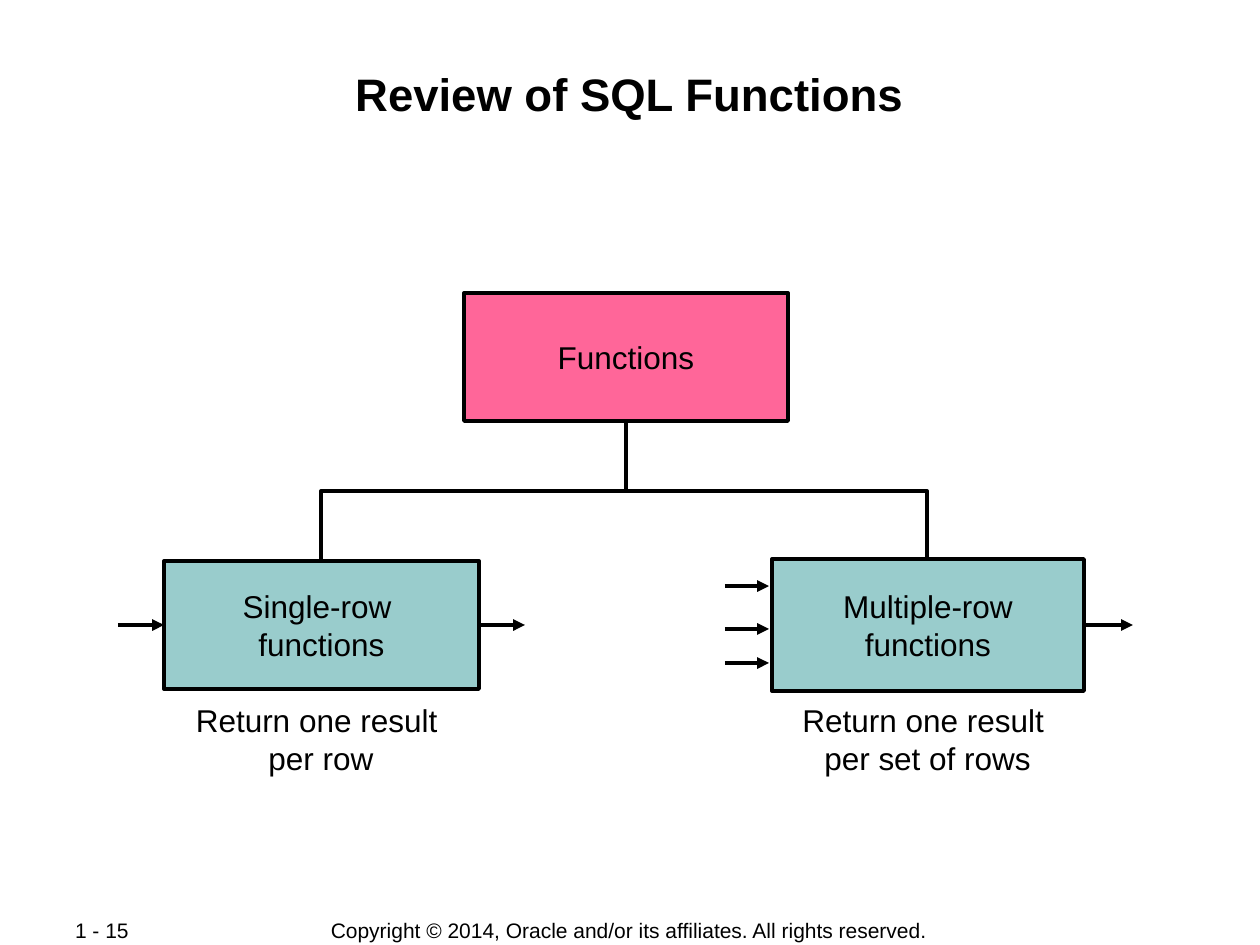
from lxml import etree
from pptx import Presentation
from pptx import util as u
from pptx.dml.color import RGBColor
from pptx.enum import shapes, text
from pptx.oxml.ns import qn

PX = 914400 / 126
COLORS = {"ink": "000000", "root": "FF6699", "branch": "99CCCC"}
LINE_WIDTH = u.Pt(2.25)


def emu(*pixels):
    return [u.Emu(round(value * PX)) for value in pixels]


def add_text(shape, content, size=18, bold=False,
             align=text.PP_ALIGN.CENTER, anchor=text.MSO_ANCHOR.MIDDLE):
    frame = shape.text_frame
    frame.word_wrap = True
    frame.vertical_anchor = anchor
    frame.margin_left = frame.margin_right = 0
    frame.margin_top = frame.margin_bottom = 0
    frame.text = content
    for paragraph in frame.paragraphs:
        paragraph.alignment = align
        paragraph.font.name = "Arial"
        paragraph.font.size = u.Pt(size)
        paragraph.font.bold = bold
        paragraph.font.color.rgb = RGBColor.from_string(COLORS["ink"])


presentation = Presentation()
presentation.slide_width, presentation.slide_height = emu(1260, 945)
slide = presentation.slides.add_slide(presentation.slide_layouts[6])
ink = RGBColor.from_string(COLORS["ink"])

# Title, captions and footer
labels = [
    ((84, 66, 1091, 116), "Review of SQL Functions",
     dict(size=26, bold=True, anchor=text.MSO_ANCHOR.TOP)),
    ((107, 705, 428, 68), "Return one result \nper row", {}),
    ((685, 705, 485, 68), "Return one result \nper set of rows", {}),
    ((75, 917, 134, 26), "1 - 15", dict(size=12, align=text.PP_ALIGN.LEFT)),
    ((304, 917, 650, 26),
     "Copyright © 2014, Oracle and/or its affiliates. All rights reserved.",
     dict(size=12)),
]
for place, content, style in labels:
    add_text(slide.shapes.add_textbox(*emu(*place)), content, **style)

# Bracket that splits into the two branches
builder = slide.shapes.build_freeform(321, 560, scale=PX)
builder.add_line_segments([(321, 491), (927, 491), (927, 560)], close=False)
bracket = builder.convert_to_shape()
bracket.shadow.inherit = False
bracket.fill.background()
bracket.line.color.rgb = ink
bracket.line.width = LINE_WIDTH

# Boxes
boxes = {}
for name, place, color, content in [
    ("single", (164, 561, 315, 128), "branch", "Single-row \nfunctions"),
    ("multiple", (772, 559, 312, 132), "branch", "Multiple-row\nfunctions"),
    ("functions", (464, 293, 324, 128), "root", "Functions"),
]:
    box = slide.shapes.add_shape(shapes.MSO_SHAPE.RECTANGLE, *emu(*place))
    box.shadow.inherit = False
    box.fill.solid()
    box.fill.fore_color.rgb = RGBColor.from_string(COLORS[color])
    box.line.color.rgb = ink
    box.line.width = LINE_WIDTH
    add_text(box, content)
    boxes[name] = box

# Stem and arrows: ends, arrowhead, joined box and side at begin, then at end
lines = [
    ((626, 421, 626, 491), False, ("functions", 2), None),
    ((118, 625, 164, 625), True, None, ("single", 1)),
    ((479, 625, 525, 625), True, ("single", 3), None),
    ((1084, 625, 1133, 625), True, ("multiple", 3), None),
]
lines += [((725, y, 769, y), True, None, None) for y in (586, 629, 663)]
for ends, arrow, begin, end in lines:
    connector = slide.shapes.add_connector(
        shapes.MSO_CONNECTOR.STRAIGHT, *emu(*ends))
    if begin:
        connector.begin_connect(boxes[begin[0]], begin[1])
    if end:
        connector.end_connect(boxes[end[0]], end[1])
    connector.line.color.rgb = ink
    connector.line.width = LINE_WIDTH
    if arrow:
        etree.SubElement(connector.line._get_or_add_ln(), qn("a:tailEnd"),
                         type="triangle")
    etree.SubElement(connector._element.spPr, qn("a:effectLst"))

presentation.save("out.pptx")
